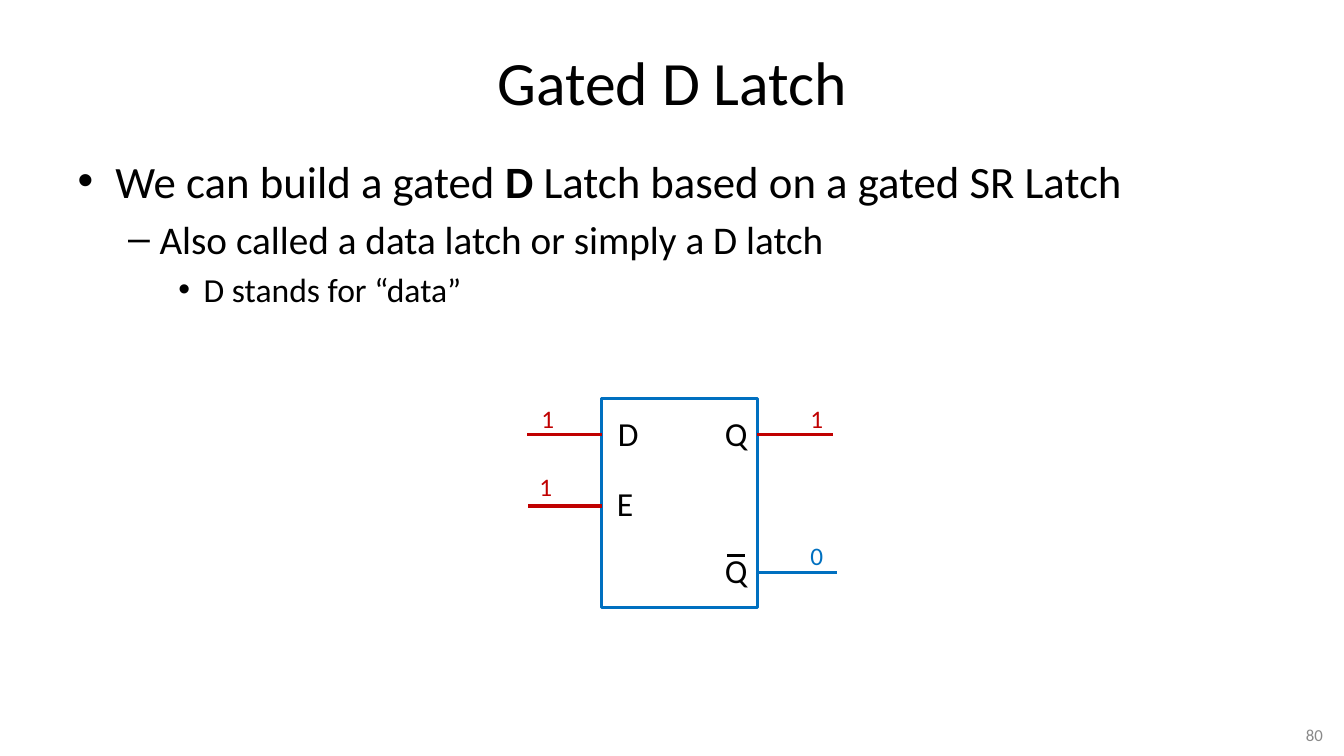
from dataclasses import dataclass

from lxml import etree
from pptx import Presentation
from pptx import util as u
from pptx.dml import color
from pptx.enum import shapes, text
from pptx.oxml import ns


@dataclass(frozen=True)
class Theme:
    font: str = "Calibri"
    ink: str = "000000"
    paper: str = "FFFFFF"
    high: str = "C00000"
    low: str = "0070C0"
    muted: str = "898989"
    title: int = 44
    levels: tuple = (32, 28, 24)
    pin: int = 24
    signal: int = 18
    number: int = 12
    wire: float = 2.25
    outline: float = 2


theme = Theme()


def write(para, content, size, ink=theme.ink, bold=False):
    span = para.add_run()
    span.text = content
    span.font.name = theme.font
    span.font.size = u.Pt(size)
    span.font.bold = bold
    span.font.color.rgb = color.RGBColor.from_string(ink)


deck = Presentation()
deck.slide_width = u.Inches(13.33)
deck.slide_height = u.Inches(7.5)
page = deck.slides.add_slide(deck.slide_layouts[1])

title, body = page.placeholders
for holder, top, height in ((title, 0.3, 1.01), (body, 1.47, 5.51)):
    holder.left, holder.top = u.Inches(0.67), u.Inches(top)
    holder.width, holder.height = u.Inches(12), u.Inches(height)
    holder.text_frame.auto_size = text.MSO_AUTO_SIZE.NONE

heading = title.text_frame.paragraphs[0]
heading.alignment = text.PP_ALIGN.CENTER
write(heading, "Gated D Latch", theme.title)

bullets = [
    [("We can build a gated ", False), ("D", True), (" Latch based on a gated SR Latch", False)],
    [("Also called a data latch or simply a D latch", False)],
    [("D stands for “data”", False)],
]
for level, pieces in enumerate(bullets):
    para = body.text_frame.add_paragraph() if level else body.text_frame.paragraphs[0]
    para.level = level
    if level == 0:
        para.space_before = u.Pt(0)
    for content, bold in pieces:
        write(para, content, theme.levels[level], bold=bold)

latch_left, latch_right = 5.97, 7.51
latch = page.shapes.add_shape(
    shapes.MSO_SHAPE.RECTANGLE,
    u.Inches(latch_left), u.Inches(3.95), u.Inches(latch_right - latch_left), u.Inches(2.08),
)
latch.shadow.inherit = False
latch.fill.solid()
latch.fill.fore_color.rgb = color.RGBColor.from_string(theme.paper)
latch.line.color.rgb = color.RGBColor.from_string(theme.low)
latch.line.width = u.Pt(theme.outline)

wires = [
    (5.23, latch_left, 4.31, theme.high),
    (5.24, latch_left, 5.02, theme.high),
    (latch_right, 8.26, 4.31, theme.high),
    (latch_right, 8.3, 5.68, theme.low),
    (7.21, 7.39, 5.51, theme.ink),
]
for start, end, height, ink in wires:
    wire = page.shapes.add_connector(
        shapes.MSO_CONNECTOR.STRAIGHT,
        u.Inches(start), u.Inches(height), u.Inches(end), u.Inches(height),
    )
    wire.line.color.rgb = color.RGBColor.from_string(ink)
    wire.line.width = u.Pt(theme.wire)
    etree.SubElement(wire.element.spPr, ns.qn("a:effectLst"))

left, right = text.PP_ALIGN.LEFT, text.PP_ALIGN.RIGHT
top, middle = text.MSO_ANCHOR.TOP, text.MSO_ANCHOR.MIDDLE
labels = [
    ("D", 6.03, 4.05, 0.41, 0.5, theme.pin, theme.ink, left, top),
    ("E", 6.02, 4.74, 0.37, 0.5, theme.pin, theme.ink, left, top),
    ("Q", 7.09, 4.05, 0.43, 0.5, theme.pin, theme.ink, left, top),
    ("Q", 7.09, 5.41, 0.43, 0.5, theme.pin, theme.ink, left, top),
    ("1", 5.27, 3.95, 0.41, 0.4, theme.signal, theme.high, left, top),
    ("1", 5.25, 4.63, 0.41, 0.4, theme.signal, theme.high, left, top),
    ("1", 7.94, 3.95, 0.41, 0.4, theme.signal, theme.high, left, top),
    ("0", 7.94, 5.31, 0.41, 0.4, theme.signal, theme.low, left, top),
    ("80", 11.79, 7.14, 1.43, 0.29, theme.number, theme.muted, right, middle),
]
for content, x, y, width, height, size, ink, align, anchor in labels:
    box = page.shapes.add_textbox(u.Inches(x), u.Inches(y), u.Inches(width), u.Inches(height))
    box.text_frame.word_wrap = size != theme.pin
    box.text_frame.vertical_anchor = anchor
    para = box.text_frame.paragraphs[0]
    para.alignment = align
    write(para, content, size, ink=ink)

deck.save("out.pptx")
